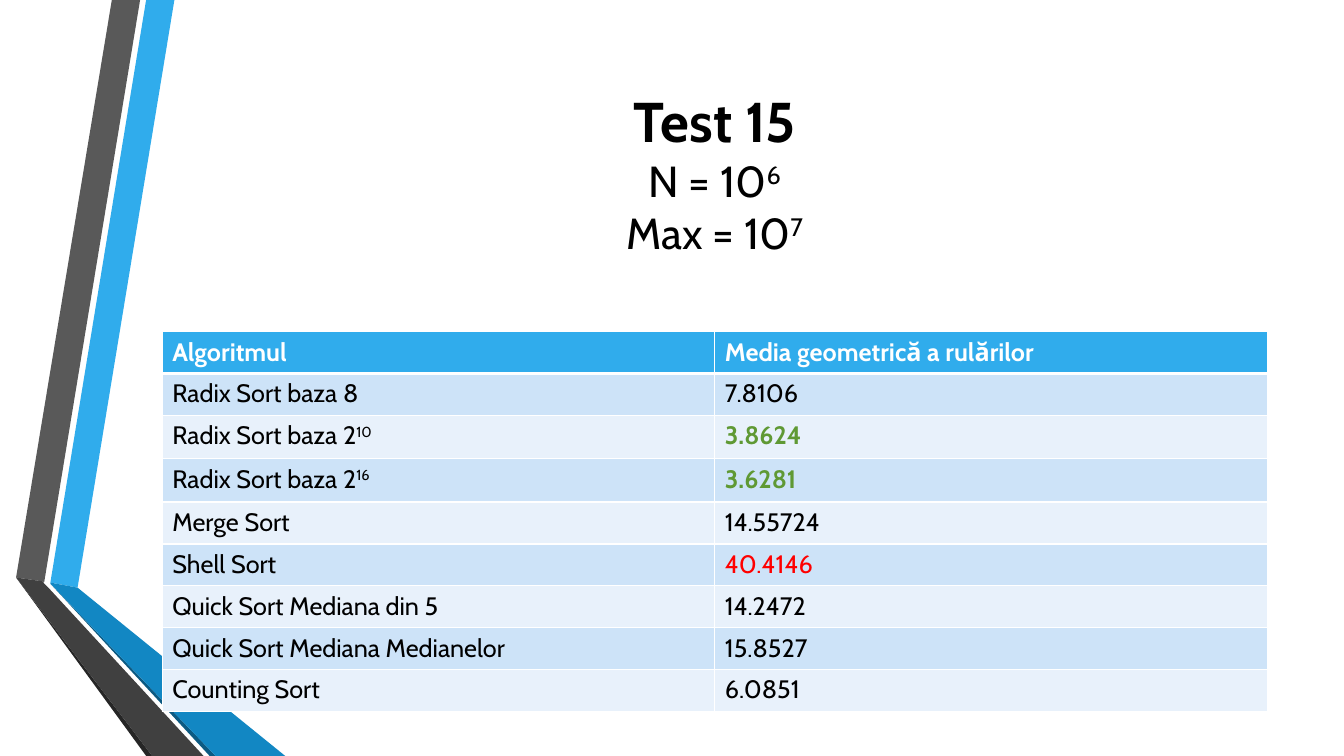
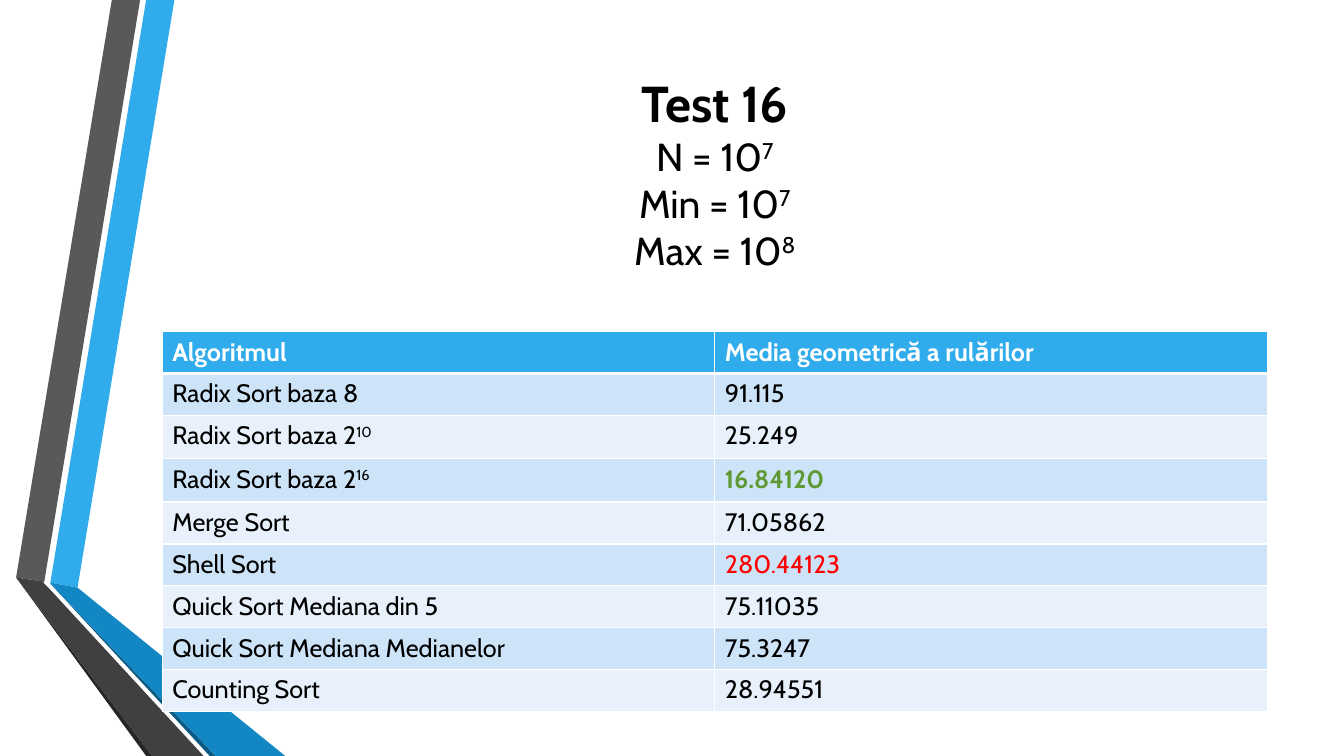
import copy

import lxml.etree
import pptx
import pptx.dml.color
import pptx.enum.text
import pptx.oxml.ns
import pptx.util

RGB = pptx.dml.color.RGBColor
Inches = pptx.util.Inches
qn = pptx.oxml.ns.qn

# Colours and font
WHITE = RGB(0xFF, 0xFF, 0xFF)
BLACK = RGB(0x00, 0x00, 0x00)
BLUE = RGB(0x30, 0xAC, 0xEC)
MID_BLUE = RGB(0x12, 0x87, 0xC3)
DEEP_BLUE = RGB(0x0C, 0x5A, 0x82)
GREY = RGB(0x59, 0x59, 0x59)
DARK_GREY = RGB(0x40, 0x40, 0x40)
DEEP_GREY = RGB(0x26, 0x26, 0x26)
ROW_TINTS = (RGB(0xCD, 0xE3, 0xF8), RGB(0xE8, 0xF1, 0xFB))
GREEN = RGB(0x5F, 0x99, 0x34)
RED = RGB(0xFF, 0x00, 0x00)
FONT = "Cabin"

# Page grid, in inches
PAGE_WIDTH, PAGE_HEIGHT = 13.33, 7.5
LEFT, CONTENT_WIDTH = 1.61, 10.96
TITLE_TOP, TITLE_HEIGHT = 0.1 * PAGE_HEIGHT, 1.92
TABLE_TOP, TABLE_HEIGHT = 3.29, 3.77
TALL_ROW = 0.43
COLUMNS = 2

# Side ribbon: colour and corners, in hundredths of an inch
RIBBON = [
    (BLUE, [(50, 578), (77, 583), (173, 0), (145, 0)]),
    (GREY, [(139, 0), (111, 0), (16, 573), (44, 577)]),
    (DEEP_GREY, [(16, 573), (145, 750), (151, 750)]),
    (DEEP_BLUE, [(50, 579), (208, 750), (214, 750)]),
    (MID_BLUE, [(50, 579), (214, 750), (283, 750), (77, 583), (50, 578)]),
    (DARK_GREY, [(202, 750), (48, 583), (43, 578), (44, 577), (16, 573), (151, 750)]),
]

# Content; ^ raises the rest of a line
HEADINGS = ("Algoritmul", "Media geometrică a rulărilor")
ALGORITHMS = (
    "Radix Sort baza 8", "Radix Sort baza 2^10", "Radix Sort baza 2^16",
    "Merge Sort", "Shell Sort", "Quick Sort Mediana din 5",
    "Quick Sort Mediana Medianelor", "Counting Sort",
)
TESTS = [
    dict(lines=("Test 15", "N = 10^6", "Max = 10^7"), sizes=(40, 31),
         means=("7.8106", "3.8624", "3.6281", "14.55724", "40.4146",
                "14.2472", "15.8527", "6.0851")),
    dict(lines=("Test 16", "N = 10^7", "Min = 10^7", "Max = 10^8"), sizes=(36, 27.9),
         means=("91.115", "25.249", "16.84120", "71.05862", "280.44123",
                "75.11035", "75.3247", "28.94551")),
]


def add_text(para, text, size, color=BLACK, bold=False):
    """Write one line, raising whatever follows the ^ mark."""
    style = dict(name=FONT, size=pptx.util.Pt(size), bold=bold)
    for raised, part in enumerate(text.split("^")):
        span = para.add_run()
        span.text = part
        for key, value in style.items():
            setattr(span.font, key, value)
        span.font.color.rgb = color
        if raised:
            span._r.get_or_add_rPr().set("baseline", "30000")


def add_break(para):
    """Break the line at the size of the text before it."""
    properties = copy.deepcopy(para.runs[-1]._r.get_or_add_rPr())
    para.add_line_break()
    para._p[-1].append(properties)


def add_ribbon(page, layout):
    """Draw the side ribbon and place it on the layout that all pages share."""
    ribbon = page.shapes.add_group_shape()
    for color, corners in RIBBON:
        outline = ribbon.shapes.build_freeform(*corners[0], scale=Inches(0.01))
        outline.add_line_segments(corners[1:], close=True)
        band = outline.convert_to_shape()
        band.shadow.inherit = False
        band.fill.solid()
        band.fill.fore_color.rgb = color
        band.line.fill.background()
    layout.shapes.element.insert(2, ribbon.element)


def format_title(page, lines, sizes):
    title = page.shapes.title
    box = dict(left=LEFT, top=TITLE_TOP, width=CONTENT_WIDTH, height=TITLE_HEIGHT)
    for key, value in box.items():
        setattr(title, key, Inches(value))
    frame = title.text_frame
    settings = dict(word_wrap=True, auto_size=pptx.enum.text.MSO_AUTO_SIZE.NONE,
                    vertical_anchor=pptx.enum.text.MSO_ANCHOR.MIDDLE)
    for key, value in settings.items():
        setattr(frame, key, value)
    para = frame.paragraphs[0]
    para.alignment = pptx.enum.text.PP_ALIGN.CENTER
    name_size, detail_size = sizes
    add_text(para, lines[0], name_size, bold=True)
    for line in lines[1:]:
        add_break(para)
        add_text(para, line, detail_size)


def add_borders(cell, widths):
    """Give a cell white borders; widths maps a side to points."""
    properties = cell._tc.get_or_add_tcPr()
    for side in "LRTB":
        width = pptx.util.Pt(widths.get(side, 1))
        line = lxml.etree.SubElement(properties, qn(f"a:ln{side}"), w=str(width))
        fill = lxml.etree.SubElement(line, qn("a:solidFill"))
        lxml.etree.SubElement(fill, qn("a:srgbClr"), val=str(WHITE))


def mean_style(mean, means):
    """Green for means within a tenth of the best, red for the worst."""
    values = [float(value) for value in means]
    if float(mean) <= 1.1 * min(values):
        return dict(color=GREEN, bold=True)
    return dict(color=RED if float(mean) == max(values) else BLACK)


def fill_cell(cell, text, fill, borders, **style):
    add_borders(cell, borders)
    cell.fill.solid()
    cell.fill.fore_color.rgb = fill
    add_text(cell.text_frame.paragraphs[0], text, 18, **style)


def add_results(page, means):
    rows = len(ALGORITHMS) + 1
    table = page.shapes.add_table(
        rows, COLUMNS, Inches(LEFT), Inches(TABLE_TOP),
        Inches(CONTENT_WIDTH), Inches(TABLE_HEIGHT)).table

    # Rows with an exponent are slightly taller
    tall = [index for index, name in enumerate(ALGORITHMS, 1) if "^" in name]
    plain_row = (TABLE_HEIGHT - TALL_ROW * len(tall)) / (rows - len(tall))
    for index, row in enumerate(table.rows):
        row.height = Inches(TALL_ROW if index in tall else plain_row)

    # Heading row
    for column, heading in enumerate(HEADINGS):
        fill_cell(table.cell(0, column), heading, BLUE, {"B": 3}, color=WHITE, bold=True)

    # Result rows
    for index, (name, mean) in enumerate(zip(ALGORITHMS, means), 1):
        tint = ROW_TINTS[(index - 1) % 2]
        borders = {"T": 3} if index == 1 else {}
        fill_cell(table.cell(index, 0), name, tint, borders)
        fill_cell(table.cell(index, 1), mean, tint, borders, **mean_style(mean, means))


def main():
    deck = pptx.Presentation()
    deck.slide_width, deck.slide_height = Inches(PAGE_WIDTH), Inches(PAGE_HEIGHT)
    layout = deck.slide_layouts.get_by_name("Title Only")
    for number, test in enumerate(TESTS):
        page = deck.slides.add_slide(layout)
        if number == 0:
            add_ribbon(page, layout)
        format_title(page, test["lines"], test["sizes"])
        add_results(page, test["means"])
    deck.save("out.pptx")


if __name__ == "__main__":
    main()
